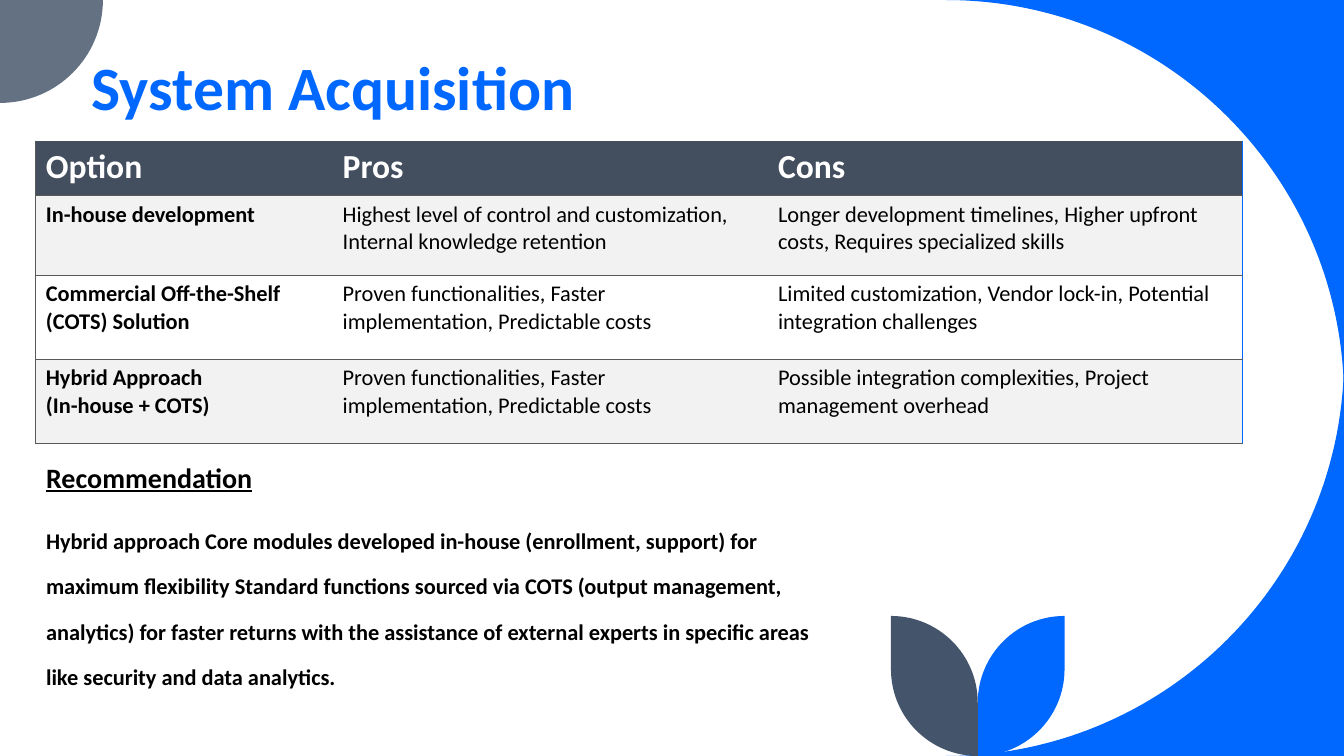
from lxml import etree
from pptx import Presentation
from pptx.dml.color import RGBColor
from pptx.enum import text
from pptx.oxml import ns
from pptx.util import Pt

HUES = {"blue": "0068FF", "gray": "637183", "slate": "44546A", "head": "434E5E",
        "band": "F2F2F2", "white": "FFFFFF", "black": "000000", "rule": "595959"}


def bend(start, peak, end):
    pull = 0.5523
    near, far = [tuple(p + pull * (k - p) for p, k in zip(spot, peak))
                 for spot in (start, end)]
    return [near, far, end]


def style(para, size, hue, bold):
    font = para.font
    font.name, font.size, font.bold = "Calibri", Pt(size), bold
    font.color.rgb = RGBColor.from_string(HUES[hue])


prs = Presentation()
prs.slide_width, prs.slide_height = Pt(960), Pt(540)
slide = prs.slides.add_slide(prs.slide_layouts[1])
title, body = slide.placeholders

big = 284.4
edge = 960 - big
dot = 73.5
mid = 698.4
forms = [
    ("blue", (960, 0), [[(edge, 0)], bend((edge, 0), (960, 0), (960, big))]),
    ("blue", (960, 540 - big),
     [bend((960, 540 - big), (960, 540), (edge, 540)), [(960, 540)]]),
    ("gray", (0, 0), [[(dot, 0)], bend((dot, 0), (dot, dot), (0, dot))]),
]
for hue, side in (("blue", mid + 62), ("slate", mid - 62)):
    forms.append((hue, (side, 440), [
        [(side, 478)], bend((side, 478), (side, 540), (mid, 540)),
        [(mid, 502)], bend((mid, 502), (mid, 440), (side, 440))]))

for hue, start, steps in forms:
    pen = slide.shapes.build_freeform(*map(Pt, start), scale=1.0)
    pen.add_line_segments([(Pt(x), Pt(y)) for step in steps for x, y in step])
    form = pen.convert_to_shape()
    legs = iter(list(form._element.iter(ns.qn("a:lnTo"))))
    for step in steps:
        group = [next(legs) for spot in step]
        if len(group) == 3:
            group[0].tag = ns.qn("a:cubicBezTo")
            for leg in group[1:]:
                group[0].append(leg[0])
                leg.getparent().remove(leg)
    form.shadow.inherit = False
    form.fill.solid()
    form.fill.fore_color.rgb = RGBColor.from_string(HUES[hue])
    form.line.fill.background()

places = [(title, (58.3, 22.3, 769.7, 68.4), text.MSO_ANCHOR.BOTTOM),
          (body, (25.7, 308.4, 581.8, 85.7), text.MSO_ANCHOR.TOP)]
for box, area, anchor in places:
    box.left, box.top, box.width, box.height = map(Pt, area)
    frame = box.text_frame
    frame.word_wrap = True
    frame.auto_size = text.MSO_AUTO_SIZE.NONE
    frame.vertical_anchor = anchor

title.text_frame.text = "System Acquisition"
head = title.text_frame.paragraphs[0]
head.alignment = text.PP_ALIGN.LEFT
head.line_spacing = 0.8
style(head, 44, "blue", True)

body.text_frame.text = (
    "Recommendation\n"
    "Hybrid approach Core modules developed in-house (enrollment, support) for "
    "maximum flexibility Standard functions sourced via COTS (output management, "
    "analytics) for faster returns with the assistance of external experts in "
    "specific areas like security and data analytics.")
for para, size in zip(body.text_frame.paragraphs, (20, 16)):
    style(para, size, "black", True)
    para.font.underline = size == 20
    para.line_spacing = 1.7
    para.space_before = Pt(10)
    props = para._p.get_or_add_pPr()
    props.set("marL", "0")
    props.set("indent", "0")
    etree.SubElement(props, ns.qn("a:buNone"))

rows = [
    ("Option", "Pros", "Cons"),
    ("In-house development",
     "Highest level of control and customization, Internal knowledge retention",
     "Longer development timelines, Higher upfront costs, Requires specialized skills"),
    ("Commercial Off-the-Shelf\n(COTS) Solution",
     "Proven functionalities, Faster implementation, Predictable costs",
     "Limited customization, Vendor lock-in, Potential integration challenges"),
    ("Hybrid Approach\n(In-house + COTS)",
     "Proven functionalities, Faster implementation, Predictable costs",
     "Possible integration complexities, Project management overhead"),
]
grid = slide.shapes.add_table(4, 3, Pt(25.6), Pt(100.8), Pt(862), Pt(216)).table
grid.first_row = grid.horz_banding = False
for col, wide in zip(grid.columns, (212, 311, 339)):
    col.width = Pt(wide)
for row, high in zip(grid.rows, (39, 57, 60, 60)):
    row.height = Pt(high)

for r, row in enumerate(rows):
    for c, words in enumerate(row):
        cell = grid.cell(r, c)
        cell.text = words
        for para in cell.text_frame.paragraphs:
            if r == 0:
                style(para, 24, "white", True)
            else:
                style(para, 16, "black", c == 0)
        sides = {"L": "rule" if c == 0 else None, "R": "blue" if c == 2 else None,
                 "T": "rule" if r else "head", "B": "rule" if r else "head"}
        props = cell._tc.get_or_add_tcPr()
        for side, hue in sides.items():
            line = etree.SubElement(props, ns.qn("a:ln" + side))
            if hue:
                line.set("w", str(Pt(1)))
                fill = etree.SubElement(line, ns.qn("a:solidFill"))
                etree.SubElement(fill, ns.qn("a:srgbClr"), val=HUES[hue])
            else:
                etree.SubElement(line, ns.qn("a:noFill"))
        cell.fill.solid()
        tint = "head" if r == 0 else "band" if r % 2 else "white"
        cell.fill.fore_color.rgb = RGBColor.from_string(HUES[tint])

prs.save("out.pptx")
